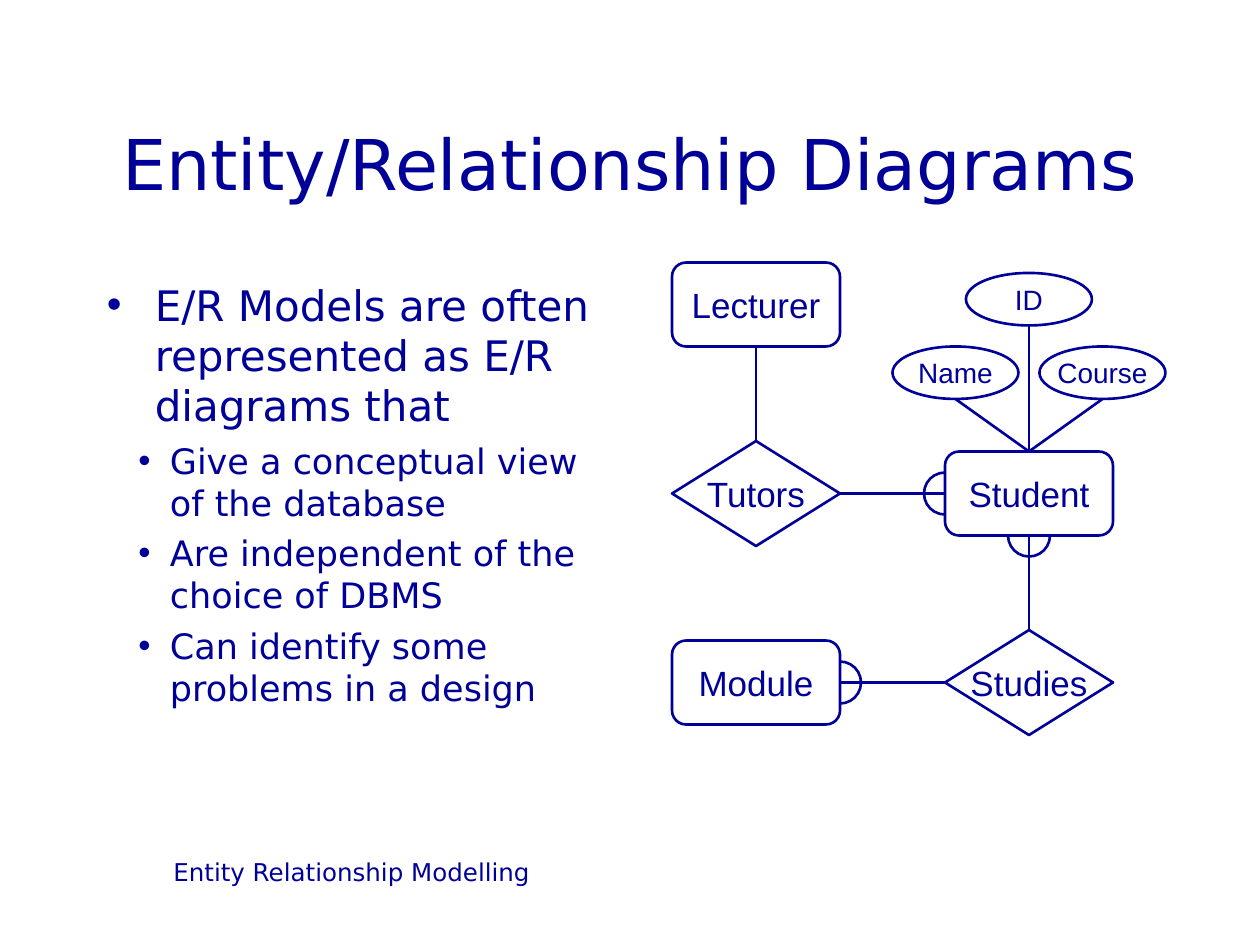
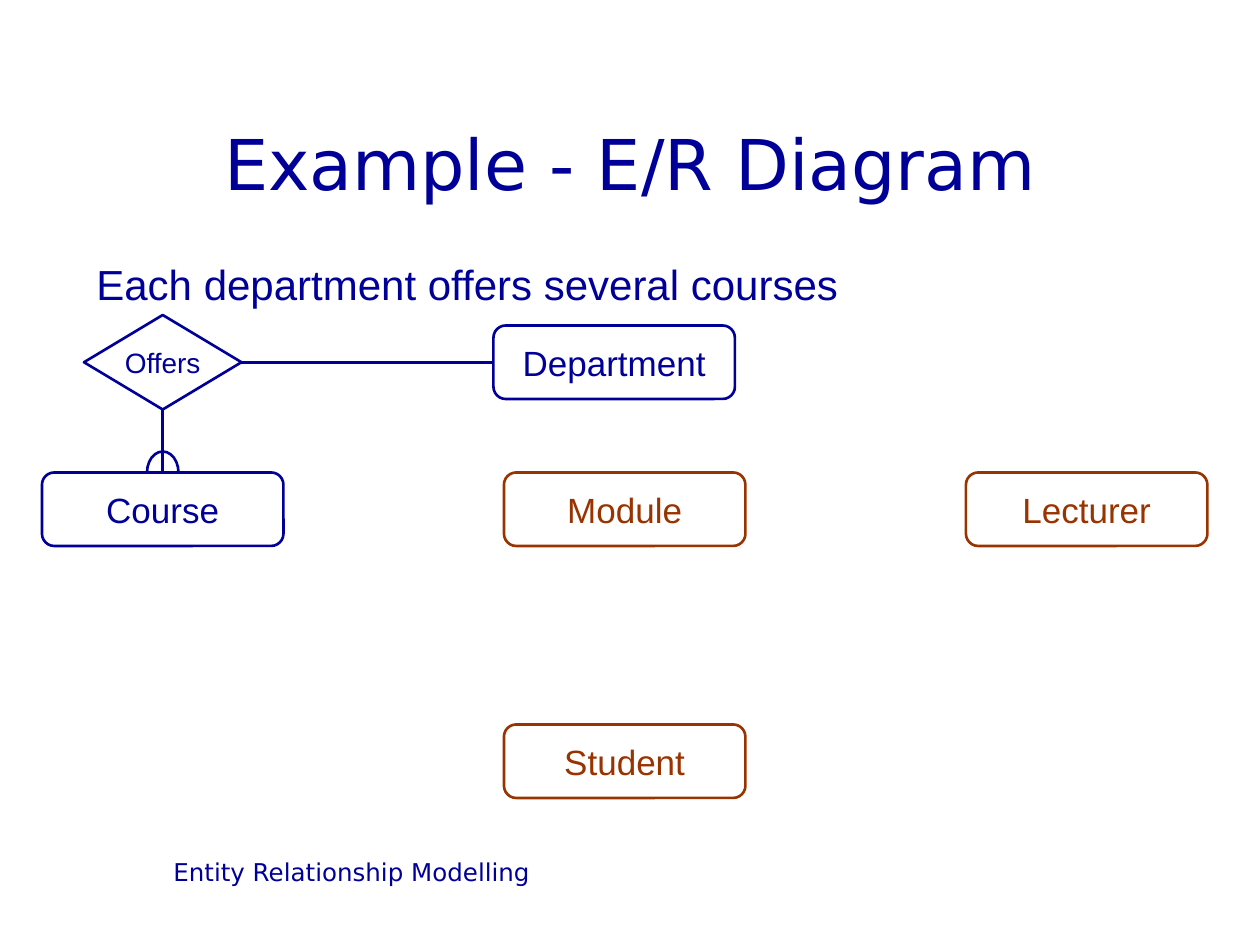
from dataclasses import dataclass

from lxml import etree
from pptx import Presentation
from pptx import util as u
from pptx.dml.color import RGBColor
from pptx.enum import shapes, text
from pptx.oxml import ns

SLIDE_WIDTH, SLIDE_HEIGHT = u.Inches(10), u.Inches(7.5)
COLUMNS, ROWS = 120, 90
NAVY, RUST = "000099", "993300"
HEADING_FONT, LABEL_FONT = "DejaVu Sans", "Arial"
LINE_WIDTH = u.Pt(1.5)
ENTITY = shapes.MSO_SHAPE.ROUNDED_RECTANGLE
RELATIONSHIP = shapes.MSO_SHAPE.DIAMOND
ATTRIBUTE = shapes.MSO_SHAPE.OVAL
FACING_ANGLE = {"right": 0, "bottom": 90, "left": 180, "top": 270}


@dataclass(frozen=True)
class Box:
    column: float
    row: float
    columns: float
    rows: float

    def lengths(self):
        return across(self.column), down(self.row), across(self.columns), down(self.rows)


@dataclass(frozen=True)
class Node:
    label: str
    kind: shapes.MSO_SHAPE
    box: Box
    size: int = 20
    color: str = NAVY

    def side(self, name: str) -> tuple[float, float]:
        box = self.box
        middle, centre = box.column + box.columns / 2, box.row + box.rows / 2
        return {
            "top": (middle, box.row),
            "bottom": (middle, box.row + box.rows),
            "left": (box.column, centre),
            "right": (box.column + box.columns, centre),
        }[name]


@dataclass(frozen=True)
class Link:
    start: Node
    start_side: str
    end: Node
    end_side: str


@dataclass(frozen=True)
class ManyMark:
    node: Node
    side: str
    columns: float = 4
    rows: float = 4


@dataclass(frozen=True)
class Bullet:
    text: str
    size: int = 20
    margin: float = 0.5
    hanging: float = 0.25
    space_before: int = 5


def across(columns: float) -> int:
    return round(SLIDE_WIDTH * columns / COLUMNS)


def down(rows: float) -> int:
    return round(SLIDE_HEIGHT * rows / ROWS)


def rgb(color: str) -> RGBColor:
    return RGBColor.from_string(color)


def write(paragraph, content: str, *, size: int, font: str = HEADING_FONT,
          color: str = NAVY, align=text.PP_ALIGN.CENTER) -> None:
    paragraph.alignment = align
    run = paragraph.add_run()
    run.text = content
    run.font.size = u.Pt(size)
    run.font.name = font
    run.font.color.rgb = rgb(color)


def add_text_box(slide, box: Box):
    frame = slide.shapes.add_textbox(*box.lengths()).text_frame
    frame.word_wrap = True
    return frame


def add_titled_slide(presentation, heading: str):
    slide = presentation.slides.add_slide(presentation.slide_layouts[5])
    title = slide.shapes.title
    title.left, title.top, title.width, title.height = Box(9, 8, 102, 15).lengths()
    frame = title.text_frame
    frame.auto_size = text.MSO_AUTO_SIZE.NONE
    frame.vertical_anchor = text.MSO_ANCHOR.MIDDLE
    write(frame.paragraphs[0], heading, size=40)
    footer = add_text_box(slide, Box(9, 81, 49, 6))
    write(footer.paragraphs[0], "Entity Relationship Modelling", size=14)
    return slide


def add_outline(slide, kind: shapes.MSO_SHAPE, box: Box, color: str):
    shape = slide.shapes.add_shape(kind, *box.lengths())
    shape.shadow.inherit = False
    shape.fill.background()
    shape.line.color.rgb = rgb(color)
    shape.line.width = LINE_WIDTH
    return shape


def draw_node(slide, node: Node) -> None:
    shape = add_outline(slide, node.kind, node.box, node.color)
    frame = shape.text_frame
    frame.word_wrap = False
    frame.vertical_anchor = text.MSO_ANCHOR.MIDDLE
    write(frame.paragraphs[0], node.label, size=node.size, font=LABEL_FONT, color=node.color)


def draw_link(slide, link: Link) -> None:
    start_column, start_row = link.start.side(link.start_side)
    end_column, end_row = link.end.side(link.end_side)
    connector = slide.shapes.add_connector(
        shapes.MSO_CONNECTOR.STRAIGHT,
        across(start_column), down(start_row), across(end_column), down(end_row))
    connector.line.color.rgb = rgb(NAVY)
    connector.line.width = LINE_WIDTH
    etree.SubElement(connector._element.spPr, ns.qn("a:effectLst"))


def draw_many_mark(slide, mark: ManyMark) -> None:
    column, row = mark.node.side(mark.side)
    box = Box(column - mark.columns / 2, row - mark.rows / 2, mark.columns, mark.rows)
    arc = add_outline(slide, shapes.MSO_SHAPE.ARC, box, NAVY)
    for index, turn in enumerate((-90, 90)):
        arc.adjustments[index] = (FACING_ANGLE[mark.side] + turn) % 360 * 0.6


def draw_diagram(slide, nodes: list[Node], links: list[Link], marks: list[ManyMark]) -> None:
    for draw, items in ((draw_node, nodes), (draw_link, links), (draw_many_mark, marks)):
        for item in items:
            draw(slide, item)


def add_bullets(slide, box: Box, bullets: list[Bullet]) -> None:
    frame = add_text_box(slide, box)
    for index, bullet in enumerate(bullets):
        paragraph = frame.add_paragraph() if index else frame.paragraphs[0]
        properties = paragraph._p.get_or_add_pPr()
        properties.set("marL", str(u.Inches(bullet.margin)))
        properties.set("indent", str(-u.Inches(bullet.hanging)))
        etree.SubElement(properties, ns.qn("a:buFont"), typeface=LABEL_FONT)
        etree.SubElement(properties, ns.qn("a:buChar"), char="•")
        if index:
            paragraph.space_before = u.Pt(bullet.space_before)
        write(paragraph, bullet.text, size=bullet.size, align=text.PP_ALIGN.LEFT)


def build_diagrams_slide(presentation) -> None:
    slide = add_titled_slide(presentation, "Entity/Relationship Diagrams")
    add_bullets(slide, Box(9, 26, 50, 54), [
        Bullet("E/R Models are often represented as E/R diagrams that",
               size=24, margin=0.38, hanging=0.38),
        Bullet("Give a conceptual view of the database"),
        Bullet("Are independent of the choice of DBMS"),
        Bullet("Can identify some problems in a design"),
    ])
    left, right = 64, 90
    student = Node("Student", ENTITY, Box(right, 43, 16, 8))
    lecturer = Node("Lecturer", ENTITY, Box(left, 25, 16, 8))
    module = Node("Module", ENTITY, Box(left, 61, 16, 8))
    tutors = Node("Tutors", RELATIONSHIP, Box(left, 42, 16, 10))
    studies = Node("Studies", RELATIONSHIP, Box(right, 60, 16, 10))
    attributes = [
        Node(label, ATTRIBUTE, Box(column, row, 12, 5), size=16)
        for label, column, row in (("ID", 92, 26), ("Course", 99, 33), ("Name", 85, 33))
    ]
    links = [
        Link(lecturer, "bottom", tutors, "top"),
        Link(tutors, "right", student, "left"),
        Link(student, "bottom", studies, "top"),
        Link(module, "right", studies, "left"),
    ] + [Link(student, "top", attribute, "bottom") for attribute in attributes]
    marks = [ManyMark(module, "right"), ManyMark(student, "left"), ManyMark(student, "bottom")]
    draw_diagram(slide, [student, lecturer, module, tutors, studies, *attributes], links, marks)


def build_example_slide(presentation) -> None:
    slide = add_titled_slide(presentation, "Example - E/R Diagram")
    statement = add_text_box(slide, Box(8, 24, 104, 6))
    write(statement.paragraphs[0], "Each department offers several courses",
          size=24, font=LABEL_FONT, align=text.PP_ALIGN.LEFT)
    course = Node("Course", ENTITY, Box(4, 45, 23, 7))
    department = Node("Department", ENTITY, Box(47, 31, 23, 7))
    offers = Node("Offers", RELATIONSHIP, Box(8, 30, 15, 9), size=16)
    pending = [
        Node(label, ENTITY, Box(column, row, 23, 7), color=RUST)
        for label, column, row in (("Module", 48, 45), ("Student", 48, 69), ("Lecturer", 92, 45))
    ]
    links = [Link(department, "left", offers, "right"), Link(offers, "bottom", course, "top")]
    draw_diagram(slide, [course, department, offers, *pending], links,
                 [ManyMark(course, "top", columns=3)])


def main() -> None:
    presentation = Presentation()
    presentation.slide_width, presentation.slide_height = SLIDE_WIDTH, SLIDE_HEIGHT
    build_diagrams_slide(presentation)
    build_example_slide(presentation)
    presentation.save("out.pptx")


if __name__ == "__main__":
    main()
